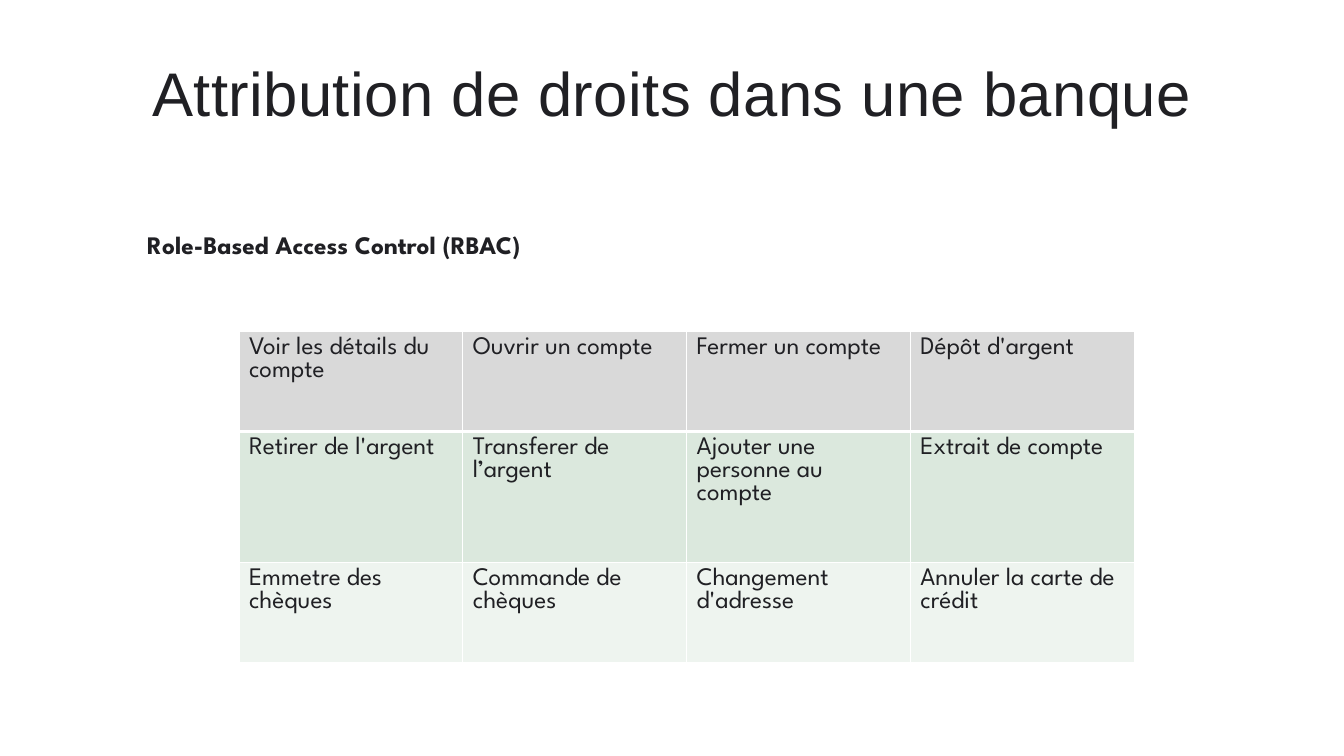
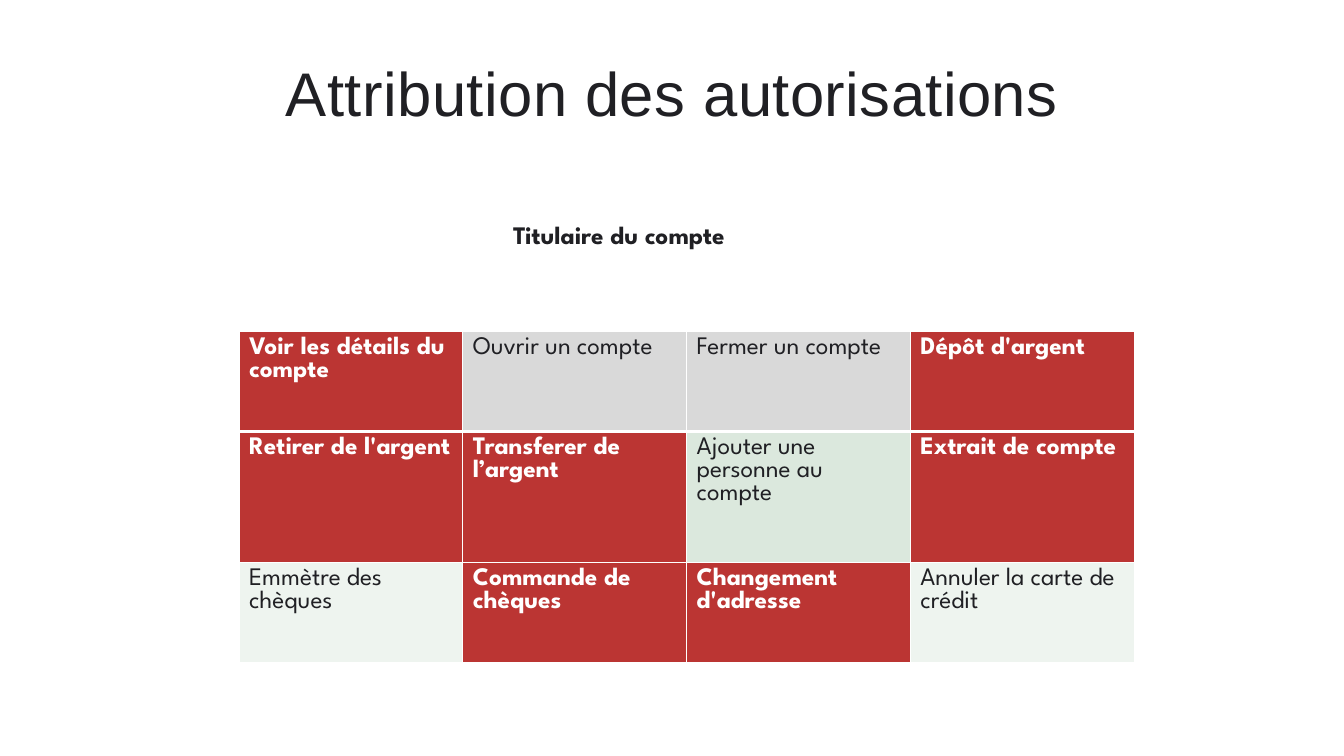
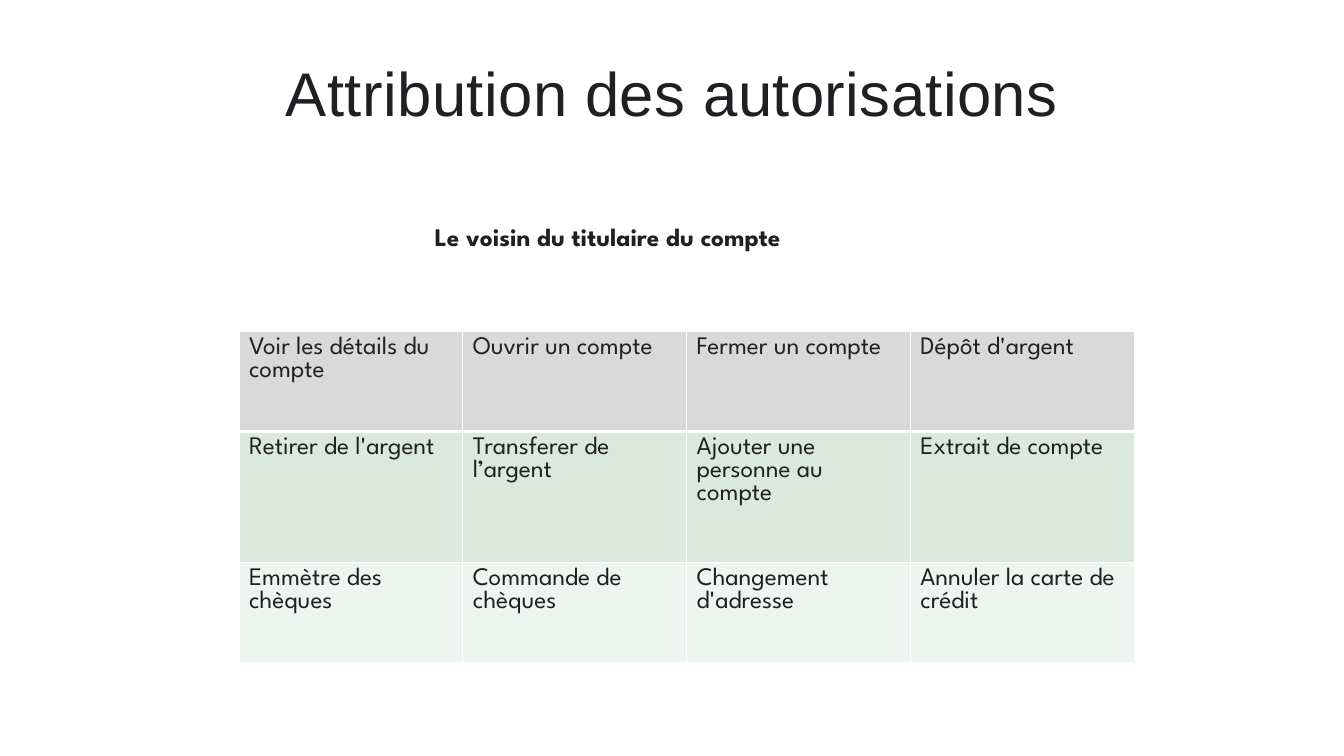
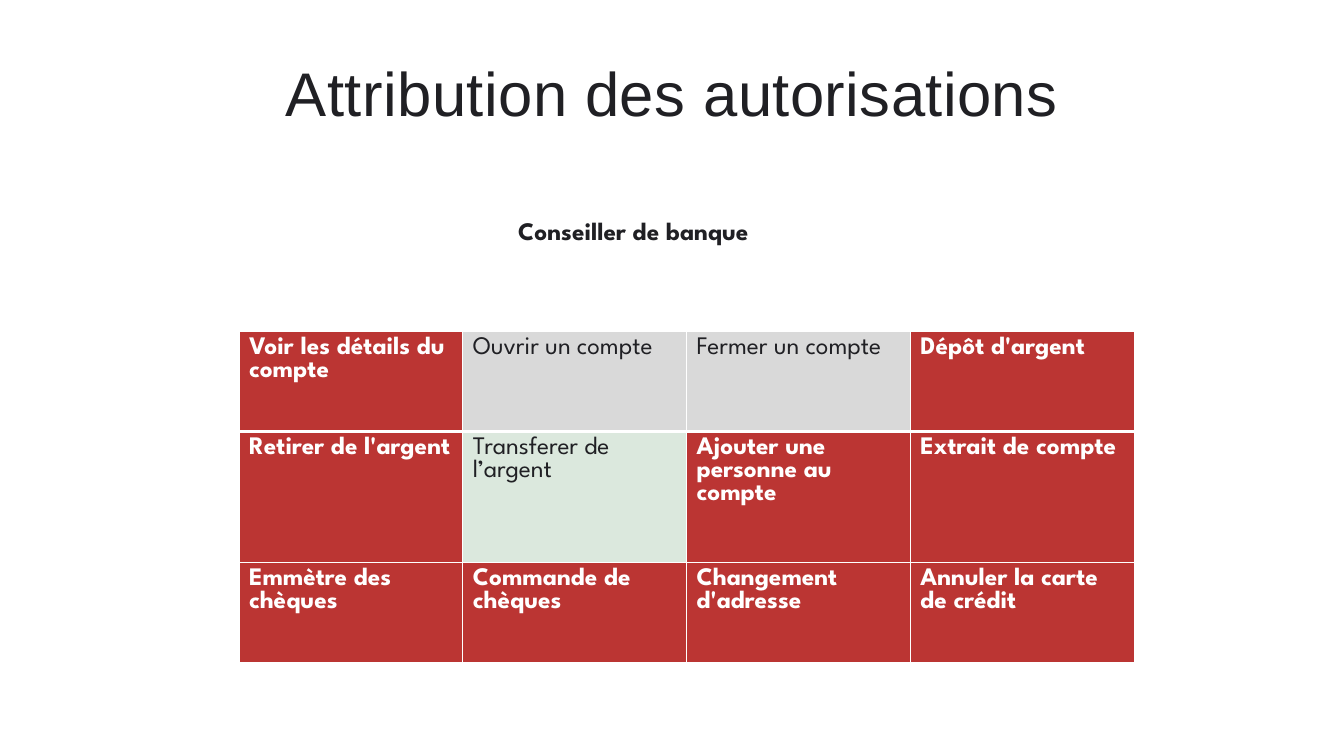
import pptx
import pptx.dml.color
import pptx.enum.text
import pptx.oxml
import pptx.oxml.ns
import pptx.util

Inches = pptx.util.Inches
Pt = pptx.util.Pt

# Shared look
INK = "202024"
WHITE = "FFFFFF"
GRANTED = "BB3533"
ROW_FILLS = ["D9D9D9", "DBE8DD", "EEF4EF"]
TITLE_FONT = "Arial"
TEXT_FONT = "League Spartan"

# Table grid
COLUMN_WIDTH = 2.22
ROW_HEIGHTS = [0.99, 1.3, 0.99]


def rgb(value):
    return pptx.dml.color.RGBColor.from_string(value)


def write(frame, text, font=TEXT_FONT, size=18, color=INK, bold=False,
          align=None, line_spacing=None, tracking=None):
    paragraph = frame.paragraphs[0]
    paragraph.alignment = align
    paragraph.line_spacing = line_spacing
    run = paragraph.add_run()
    run.text = text
    run.font.name = font
    run.font.size = Pt(size)
    run.font.bold = bold
    run.font.color.rgb = rgb(color)
    if tracking:
        run.font._element.set("spc", str(round(tracking * 100)))


presentation = pptx.Presentation()
presentation.slide_width = Inches(13.33)
presentation.slide_height = Inches(7.5)

# Title place, shared through the layout
layout = presentation.slide_layouts.get_by_name("Title Only")
layout_title = layout.placeholders[0]
layout_title.left, layout_title.top = Inches(0.79), Inches(0.6)
layout_title.width, layout_title.height = Inches(11.76), Inches(0.7)
title_frame = layout_title.text_frame
title_frame.margin_left = title_frame.margin_right = 0
title_frame.margin_top = title_frame.margin_bottom = 0
title_frame.vertical_anchor = pptx.enum.text.MSO_ANCHOR.TOP
title_frame.auto_size = pptx.enum.text.MSO_AUTO_SIZE.NONE

# Banking operations
operations = [
    ["Voir les détails du compte", "Ouvrir un compte", "Fermer un compte", "Dépôt d'argent"],
    ["Retirer de l'argent", "Transferer de l’argent", "Ajouter une personne au compte",
     "Extrait de compte"],
    ["Emmètre des chèques", "Commande de chèques", "Changement d'adresse",
     "Annuler la carte de crédit"],
]
rights = [["Emmetre des chèques" if name == "Emmètre des chèques" else name for name in row]
          for row in operations]

# Title, role, role box (left, top, width), operations, granted cells marked x
NONE_GRANTED = ["....", "....", "...."]
slides = [
    ("Attribution de droits dans une banque", "Role-Based Access Control (RBAC)",
     (1.46, 2.24, 4.38), rights, NONE_GRANTED),
    ("Attribution des autorisations", "Titulaire du compte",
     (5.09, 2.15, 2.46), operations, ["x..x", "xx.x", ".xx."]),
    ("Attribution des autorisations", "Le voisin du titulaire du compte",
     (4.31, 2.17, 3.95), operations, NONE_GRANTED),
    ("Attribution des autorisations", "Conseiller de banque",
     (5.14, 2.11, 2.63), operations, ["x..x", "x.xx", "xxxx"]),
]

for title, role, (role_left, role_top, role_width), names, granted in slides:
    slide = presentation.slides.add_slide(layout)
    write(slide.shapes.title.text_frame, title, font=TITLE_FONT, size=44,
          align=pptx.enum.text.PP_ALIGN.CENTER, line_spacing=0.95, tracking=0.3)

    # Role heading
    role_frame = slide.shapes.add_textbox(
        Inches(role_left), Inches(role_top), Inches(role_width), Inches(0.35)).text_frame
    role_frame.margin_left = role_frame.margin_right = 0
    role_frame.margin_top = role_frame.margin_bottom = 0
    role_frame.word_wrap = False
    write(role_frame, role, bold=True, line_spacing=1.1)

    # Permission table
    permissions = slide.shapes.add_table(
        len(names), len(names[0]), Inches(2.37), Inches(3.29),
        Inches(COLUMN_WIDTH * len(names[0])), Inches(sum(ROW_HEIGHTS))).table
    permissions.first_row = False
    permissions.horz_banding = False
    for column in permissions.columns:
        column.width = Inches(COLUMN_WIDTH)

    for r, row_names in enumerate(names):
        permissions.rows[r].height = Inches(ROW_HEIGHTS[r])
        for c, name in enumerate(row_names):
            cell = permissions.cell(r, c)
            is_granted = granted[r][c] == "x"
            write(cell.text_frame, name, bold=is_granted,
                  color=WHITE if is_granted else INK)

            # White borders, thicker under the first row
            borders = {"lnL": 1, "lnR": 1, "lnT": 3 if r == 1 else 1, "lnB": 3 if r == 0 else 1}
            cell_properties = cell._tc.get_or_add_tcPr()
            for side, width in borders.items():
                cell_properties.append(pptx.oxml.parse_xml(
                    f'<a:{side} {pptx.oxml.ns.nsdecls("a")} w="{Pt(width)}"><a:solidFill>'
                    f'<a:srgbClr val="{WHITE}"/></a:solidFill></a:{side}>'))
            cell.fill.solid()
            cell.fill.fore_color.rgb = rgb(GRANTED if is_granted else ROW_FILLS[r])

presentation.save("out.pptx")
